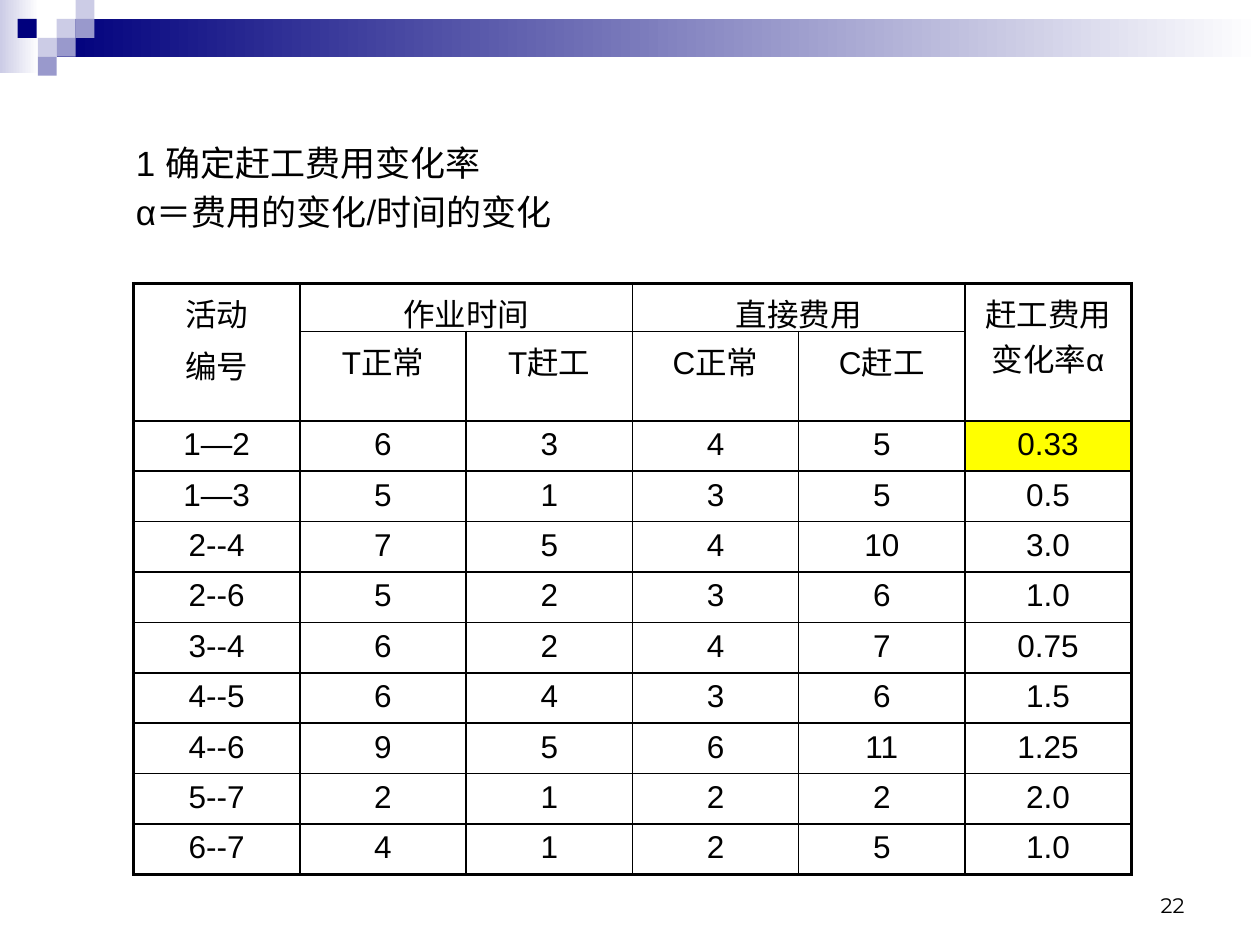
import pptx
import pptx.util
import pptx.dml.color
import pptx.enum.shapes
import pptx.enum.text
import pptx.oxml
import pptx.oxml.ns

Inches, Pt = pptx.util.Inches, pptx.util.Pt
RGBColor = pptx.dml.color.RGBColor
ALIGN = pptx.enum.text.PP_ALIGN
ANCHOR = pptx.enum.text.MSO_ANCHOR

BLACK = RGBColor(0x00, 0x00, 0x00)
WHITE = RGBColor(0xFF, 0xFF, 0xFF)
NAVY = RGBColor(0x00, 0x00, 0x7D)
LILAC = RGBColor(0xCC, 0xCC, 0xE6)
VIOLET = RGBColor(0x99, 0x99, 0xCC)
YELLOW = RGBColor(0xFF, 0xFF, 0x00)

HEADING = ["1 确定赶工费用变化率", "α＝费用的变化/时间的变化"]
PAGE = "22"
HEADER = [
    ["活动\n编号", "作业时间", "", "直接费用", "", "赶工费用变化率α"],
    ["", "T正常", "T赶工", "C正常", "C赶工", ""],
]
ACTIVITIES = [
    ["1—2", "6", "3", "4", "5", "0.33"],
    ["1—3", "5", "1", "3", "5", "0.5"],
    ["2--4", "7", "5", "4", "10", "3.0"],
    ["2--6", "5", "2", "3", "6", "1.0"],
    ["3--4", "6", "2", "4", "7", "0.75"],
    ["4--5", "6", "4", "3", "6", "1.5"],
    ["4--6", "9", "5", "6", "11", "1.25"],
    ["5--7", "2", "1", "2", "2", "2.0"],
    ["6--7", "4", "1", "2", "5", "1.0"],
]
ROWS = HEADER + ACTIVITIES
MERGES = [((0, 0), (1, 0)), ((0, 1), (0, 2)), ((0, 3), (0, 4)), ((0, 5), (1, 5))]
HIGHLIGHT = (2, 5)
COL_WIDTH = 1.32
ROW_HEIGHTS = [0.38, 0.71] + [0.4] * len(ACTIVITIES)
THIN, THICK = 1, 2.25

GRADIENT_BARS = [((0, 0, 0.31, 0.58), LILAC), ((0.45, 0.15, 9.55, 0.3), NAVY)]
TILE = 0.15
TILES = [
    (0.45, 0.15, LILAC), (0.6, 0, LILAC), (0.6, 0.15, VIOLET), (0.3, 0.3, LILAC),
    (0.14, 0.15, NAVY), (0.45, 0.3, VIOLET), (0.3, 0.45, VIOLET),
]


def add_rect(s, box):
    sp = s.shapes.add_shape(pptx.enum.shapes.MSO_SHAPE.RECTANGLE, *map(Inches, box))
    sp.shadow.inherit = False
    sp.line.fill.background()
    return sp


def paint(sp, color):
    sp.fill.solid()
    sp.fill.fore_color.rgb = color


def write(tf, lines, size, align, name="Arial"):
    for i, line in enumerate(lines):
        p = tf.paragraphs[0] if i == 0 else tf.add_paragraph()
        p.alignment = align
        if i:
            p.space_before = Pt(size * 0.2)
        r = p.add_run()
        r.text = line
        for key, value in {"name": name, "size": Pt(size)}.items():
            setattr(r.font, key, value)
        r.font.color.rgb = BLACK


def set_borders(cell, widths):
    tcPr = cell._tc.get_or_add_tcPr()
    for i, (side, width) in enumerate(widths.items()):
        ln = pptx.oxml.parse_xml(
            f'<a:ln{side} {pptx.oxml.ns.nsdecls("a")} w="{int(Pt(width))}">'
            f'<a:solidFill><a:srgbClr val="{BLACK}"/></a:solidFill></a:ln{side}>')
        tcPr.insert(i, ln)


def add_decoration(s):
    for box, color in GRADIENT_BARS:
        sp = add_rect(s, box)
        sp.fill.gradient()
        sp.fill.gradient_angle = 0
        for stop, shade in zip(sp.fill.gradient_stops, (color, WHITE)):
            stop.color.rgb = shade
    for left, top, color in TILES:
        paint(add_rect(s, (left, top, TILE, TILE)), color)


def add_cost_table(s):
    n_rows, n_cols = len(ROWS), len(ROWS[0])
    frame = s.shapes.add_table(n_rows, n_cols, Inches(1.06), Inches(2.25),
                               Inches(COL_WIDTH * n_cols), Inches(sum(ROW_HEIGHTS)))
    table = frame.table
    table.first_row = table.horz_banding = False
    for col in table.columns:
        col.width = Inches(COL_WIDTH)
    for row, height in zip(table.rows, ROW_HEIGHTS):
        row.height = Inches(height)
    for start, end in MERGES:
        table.cell(*start).merge(table.cell(*end))
    for i, row in enumerate(ROWS):
        for j, text in enumerate(row):
            cell = table.cell(i, j)
            cell.margin_bottom = 0
            paint(cell, YELLOW if (i, j) == HIGHLIGHT else WHITE)
            set_borders(cell, {
                "L": THICK if j == 0 else THIN,
                "R": THICK if j == n_cols - 1 else THIN,
                "T": THICK if i == 0 else THIN,
                "B": THICK if i == n_rows - 1 else THIN,
            })
            if text:
                write(cell.text_frame, text.split("\n"), 18, ALIGN.CENTER)


def main():
    prs = pptx.Presentation()
    prs.slide_width, prs.slide_height = Inches(10), Inches(7.5)
    s = prs.slides.add_slide(prs.slide_layouts[6])
    add_decoration(s)

    number = s.shapes.add_textbox(*map(Inches, (7.17, 6.83, 2.33, 0.5))).text_frame
    number.word_wrap = True
    number.vertical_anchor = ANCHOR.BOTTOM
    write(number, [PAGE], 12, ALIGN.RIGHT, "Montserrat")

    add_cost_table(s)

    heading = add_rect(s, (0.98, 1.07, 7.56, 0.95))
    paint(heading, WHITE)
    heading.text_frame.word_wrap = True
    heading.text_frame.vertical_anchor = ANCHOR.TOP
    write(heading.text_frame, HEADING, 20, ALIGN.LEFT)

    prs.save("out.pptx")


if __name__ == "__main__":
    main()
